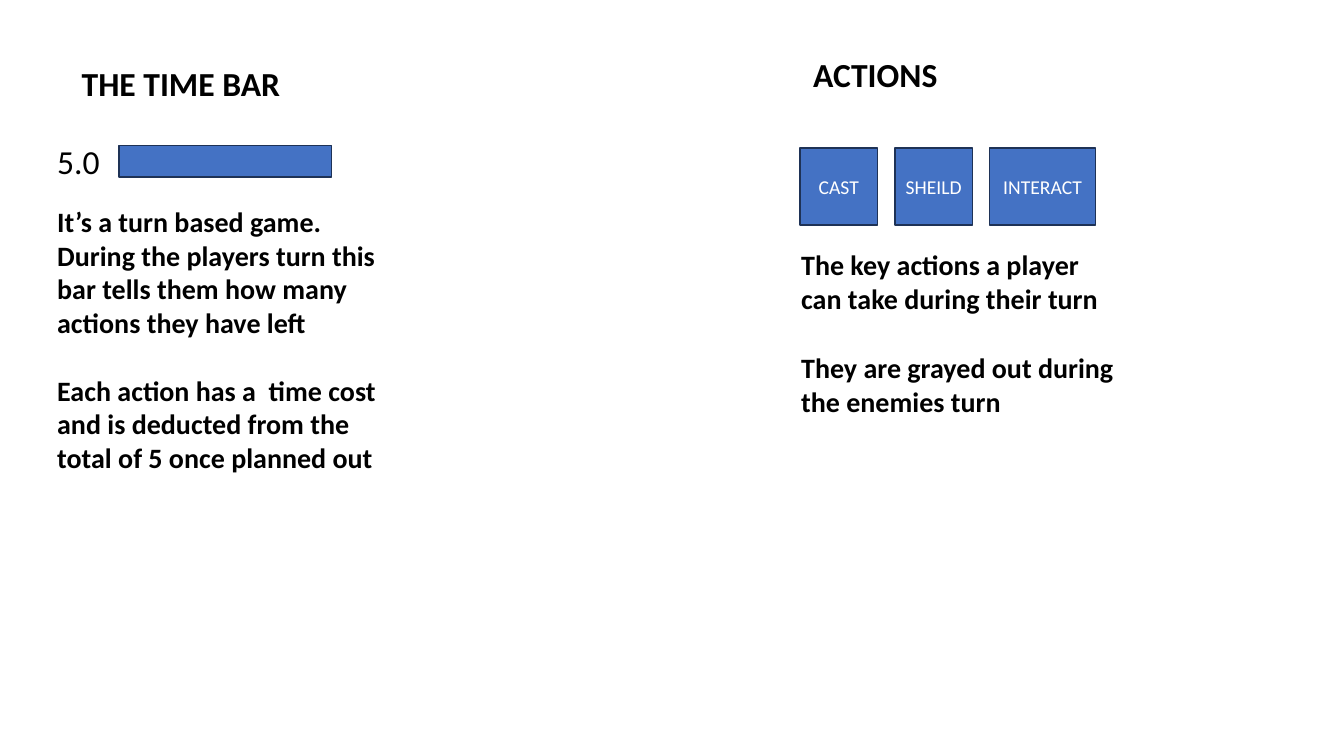
from pptx import Presentation
from pptx.dml.color import RGBColor
from pptx.enum.shapes import MSO_SHAPE
from pptx.enum.text import MSO_ANCHOR, MSO_AUTO_SIZE, PP_ALIGN
from pptx.util import Pt

COLORS = {"text": "000000", "paper": "FFFFFF", "bar": "4472C4", "outline": "1E3256"}
FONT = "Calibri"
BLANK_LINE = 24.4
BUTTON_TOP, BUTTON_HEIGHT, BUTTON_GAP = 105.8, 54.9, 12.3


def color(name):
    return RGBColor.from_string(COLORS[name])


class SlideBuilder:
    def __init__(self, slide):
        self.slide = slide

    def set_text(self, shape, paragraphs, size, bold=False, ink="text",
                 align=PP_ALIGN.LEFT, anchor=MSO_ANCHOR.TOP, wrap=True):
        frame = shape.text_frame
        frame.word_wrap = wrap
        frame.auto_size = MSO_AUTO_SIZE.NONE
        frame.vertical_anchor = anchor
        frame.text = "\n".join(paragraphs)
        for index, paragraph in enumerate(frame.paragraphs):
            paragraph.alignment = align
            paragraph.space_before = Pt(BLANK_LINE if index else 0)
            font = paragraph.font
            font.name, font.size, font.bold = FONT, Pt(size), bold
            font.color.rgb = color(ink)

    def title(self, text, left, top, width, height):
        title = self.slide.shapes.title
        title.left, title.top = Pt(left), Pt(top)
        title.width, title.height = Pt(width), Pt(height)
        self.set_text(title, [text], 24, bold=True)

    def label(self, text, left, top, width, height, bold=False):
        box = self.slide.shapes.add_textbox(Pt(left), Pt(top), Pt(width), Pt(height))
        self.set_text(box, [text], 24, bold)

    def rectangle(self, left, top, width, height, fill="bar", line="outline", weight=1):
        shape = self.slide.shapes.add_shape(
            MSO_SHAPE.RECTANGLE, Pt(left), Pt(top), Pt(width), Pt(height))
        shape.shadow.inherit = False
        if fill:
            shape.fill.solid()
            shape.fill.fore_color.rgb = color(fill)
        else:
            shape.fill.background()
        shape.line.color.rgb = color(line)
        shape.line.width = Pt(weight)
        return shape

    def button(self, text, left, width):
        shape = self.rectangle(left, BUTTON_TOP, width, BUTTON_HEIGHT)
        self.set_text(shape, [text], 14, ink="paper", align=PP_ALIGN.CENTER,
                      anchor=MSO_ANCHOR.MIDDLE, wrap=False)

    def note(self, paragraphs, left, top, height):
        shape = self.rectangle(left, top, 244.8, height, None, "paper", 0.75)
        self.set_text(shape, paragraphs, 20, bold=True)


def main():
    presentation = Presentation()
    presentation.slide_width, presentation.slide_height = Pt(960), Pt(540)
    title_only = presentation.slide_layouts[5]
    builder = SlideBuilder(presentation.slides.add_slide(title_only))

    builder.title("THE TIME BAR", 51.1, 41, 185.8, 36)
    builder.label("5.0", 33.8, 97.2, 82.8, 36)
    builder.rectangle(85, 103.9, 152, 22.5)
    builder.note([
        "It’s a turn based game. During the players turn this bar tells them "
        "how many actions they have left",
        "Each action has a  time cost and is deducted from the total of 5 "
        "once planned out",
    ], 33.8, 142.6, 200.9)

    builder.label("ACTIONS", 573.8, 35.3, 185.8, 36, bold=True)
    left = 571.5
    for action, width in (("CAST", 55.4), ("SHEILD", 55.4), ("INTERACT", 75.6)):
        builder.button(action, left, width)
        left += width + BUTTON_GAP
    builder.note(["The key actions a player can take during their turn"], 565.2, 173.5, 55.4)
    builder.note(["They are grayed out during the enemies turn"], 565.2, 247, 55.4)

    presentation.save("out.pptx")


if __name__ == "__main__":
    main()
